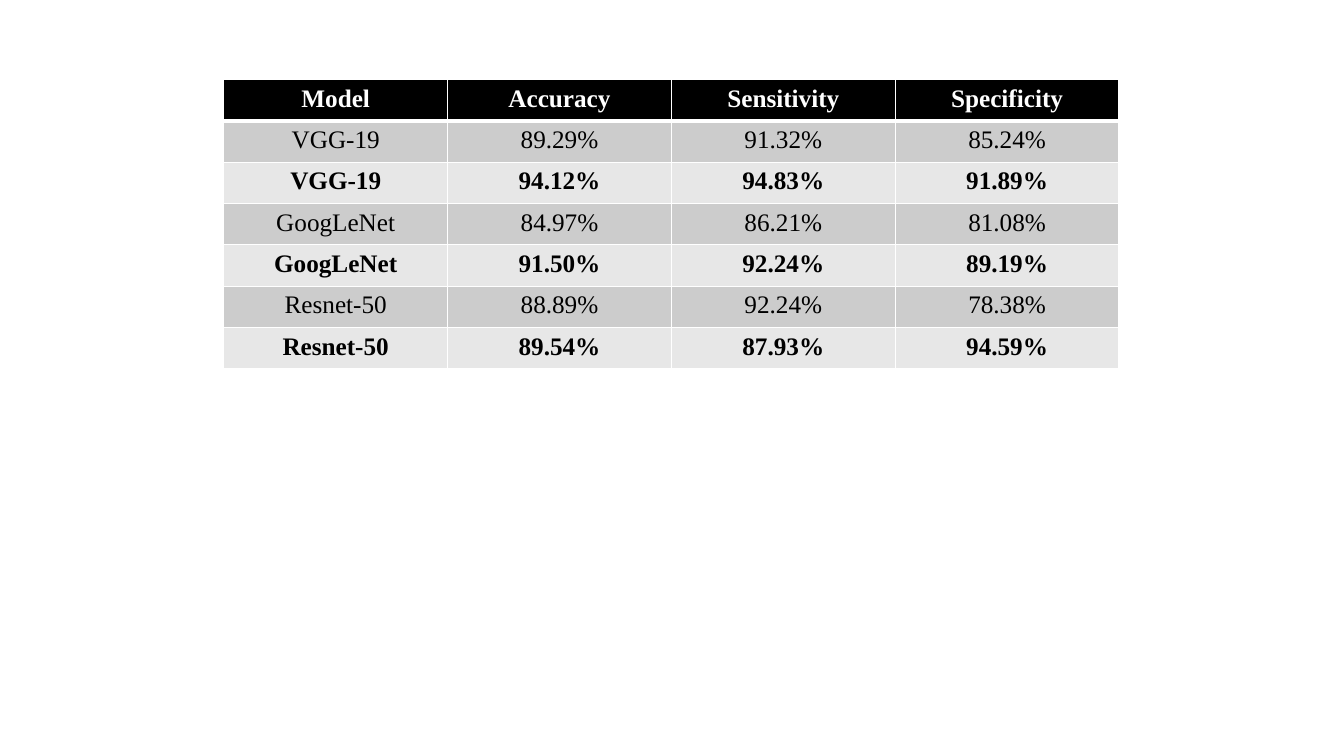
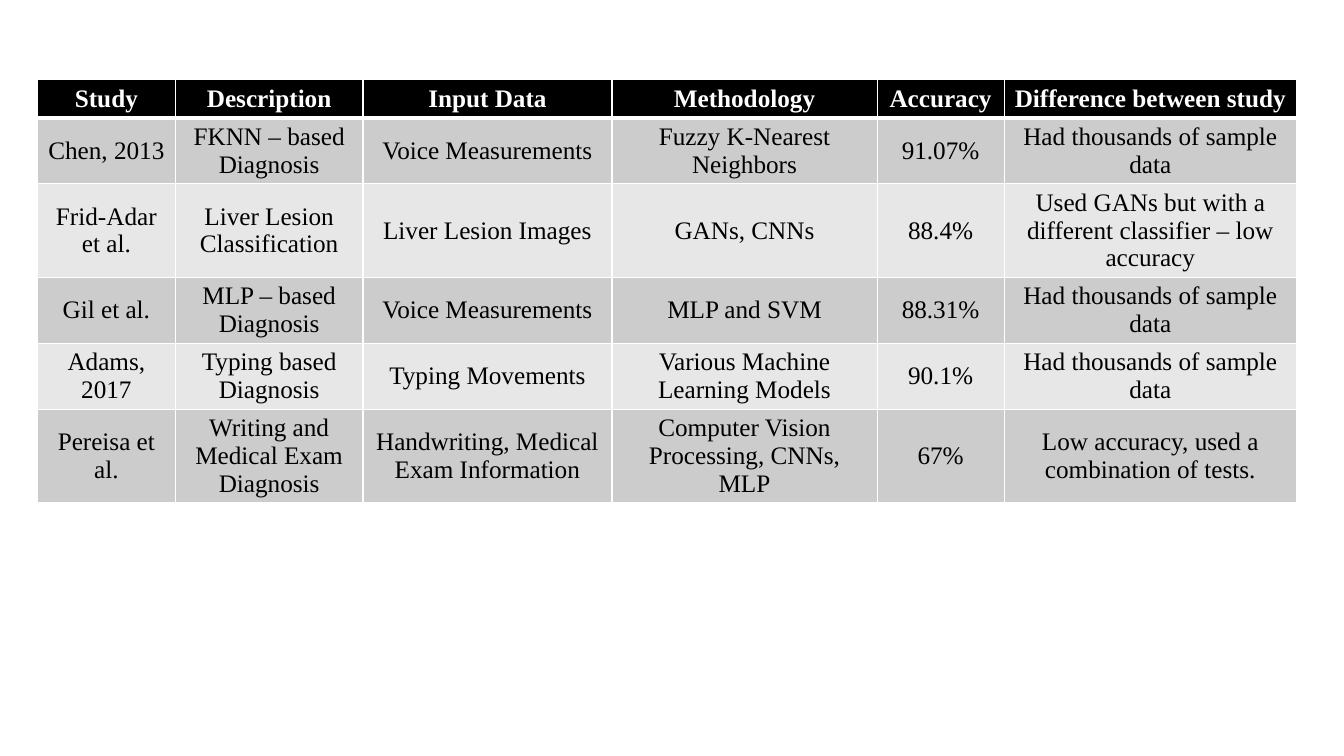
from lxml import etree
from pptx import Presentation
from pptx.dml.color import RGBColor as RGB
from pptx.enum.text import MSO_ANCHOR as ANCHOR, PP_ALIGN as ALIGN
from pptx.oxml.ns import qn
from pptx.util import Inches, Pt

COLORS = {"header": "000000", "odd": "CCCCCC", "even": "E7E7E7",
          "text": "000000", "white": "FFFFFF"}
FONT = "Times New Roman"
TABLE_TOP = 0.79
ROW_HEIGHT = 0.41

RESULTS = [
    ["Model", "Accuracy", "Sensitivity", "Specificity"],
    ["VGG-19", "89.29%", "91.32%", "85.24%"],
    ["VGG-19", "94.12%", "94.83%", "91.89%"],
    ["GoogLeNet", "84.97%", "86.21%", "81.08%"],
    ["GoogLeNet", "91.50%", "92.24%", "89.19%"],
    ["Resnet-50", "88.89%", "92.24%", "78.38%"],
    ["Resnet-50", "89.54%", "87.93%", "94.59%"],
]
SAMPLES = "Had thousands of sample data"
STUDIES = [
    ["Study", "Description", "Input Data", "Methodology", "Accuracy",
     "Difference between study"],
    ["Chen, 2013", "FKNN – based Diagnosis", "Voice Measurements",
     "Fuzzy K-Nearest Neighbors", "91.07%", SAMPLES],
    ["Frid-Adar et al.", "Liver Lesion Classification", "Liver Lesion Images",
     "GANs, CNNs", "88.4%",
     "Used GANs but with a different classifier – low accuracy"],
    ["Gil et al.", "MLP – based Diagnosis", "Voice Measurements",
     "MLP and SVM", "88.31%", SAMPLES],
    ["Adams, 2017", "Typing based Diagnosis", "Typing Movements",
     "Various Machine Learning Models", "90.1%", SAMPLES],
    ["Pereisa et al.", "Writing and Medical Exam Diagnosis",
     "Handwriting, Medical Exam Information",
     "Computer Vision Processing, CNNs, MLP", "67%",
     "Low accuracy, used a combination of tests."],
]
TABLES = [
    {"rows": RESULTS, "left": 2.22, "cols": [2.22] * 4,
     "header_height": ROW_HEIGHT, "anchor": ANCHOR.TOP, "bold_even": True},
    {"rows": STUDIES, "left": 0.37, "cols": [1.37, 1.86, 2.47, 2.63, 1.26, 2.9],
     "header_height": 0.16, "anchor": ANCHOR.MIDDLE, "bold_even": False},
]


def set_borders(cell, row):
    """White borders, with a thick one between the header and the body."""
    tcPr = cell._tc.get_or_add_tcPr()
    widths = {"L": 1, "R": 1, "T": 3 if row == 1 else 1, "B": 3 if row == 0 else 1}
    for side, width in widths.items():
        ln = etree.SubElement(tcPr, qn(f"a:ln{side}"), w=str(Pt(width)))
        fill = etree.SubElement(ln, qn("a:solidFill"))
        etree.SubElement(fill, qn("a:srgbClr"), val=COLORS["white"])


prs = Presentation()
prs.slide_width, prs.slide_height = Inches(13.33), Inches(7.5)

for spec_table in TABLES:
    rows, cols = spec_table["rows"], spec_table["cols"]
    heights = [spec_table["header_height"]] + [ROW_HEIGHT] * (len(rows) - 1)
    s = prs.slides.add_slide(prs.slide_layouts[6])
    table = s.shapes.add_table(
        len(rows), len(cols), Inches(spec_table["left"]), Inches(TABLE_TOP),
        Inches(sum(cols)), Inches(sum(heights))).table
    for column, width in zip(table.columns, cols):
        column.width = Inches(width)
    for i, (texts, height) in enumerate(zip(rows, heights)):
        table.rows[i].height = Inches(height)
        band = "header" if i == 0 else "odd" if i % 2 else "even"
        style = {"name": FONT, "size": Pt(18),
                 "bold": band == "header" or (band == "even" and spec_table["bold_even"])}
        for j, text in enumerate(texts):
            cell = table.cell(i, j)
            set_borders(cell, i)
            cell.fill.solid()
            cell.fill.fore_color.rgb = RGB.from_string(COLORS[band])
            cell.vertical_anchor = spec_table["anchor"]
            p = cell.text_frame.paragraphs[0]
            p.alignment = ALIGN.CENTER
            r = p.add_run()
            r.text = text
            for name, value in style.items():
                setattr(r.font, name, value)
            r.font.color.rgb = RGB.from_string(COLORS["white" if i == 0 else "text"])

prs.save("out.pptx")
